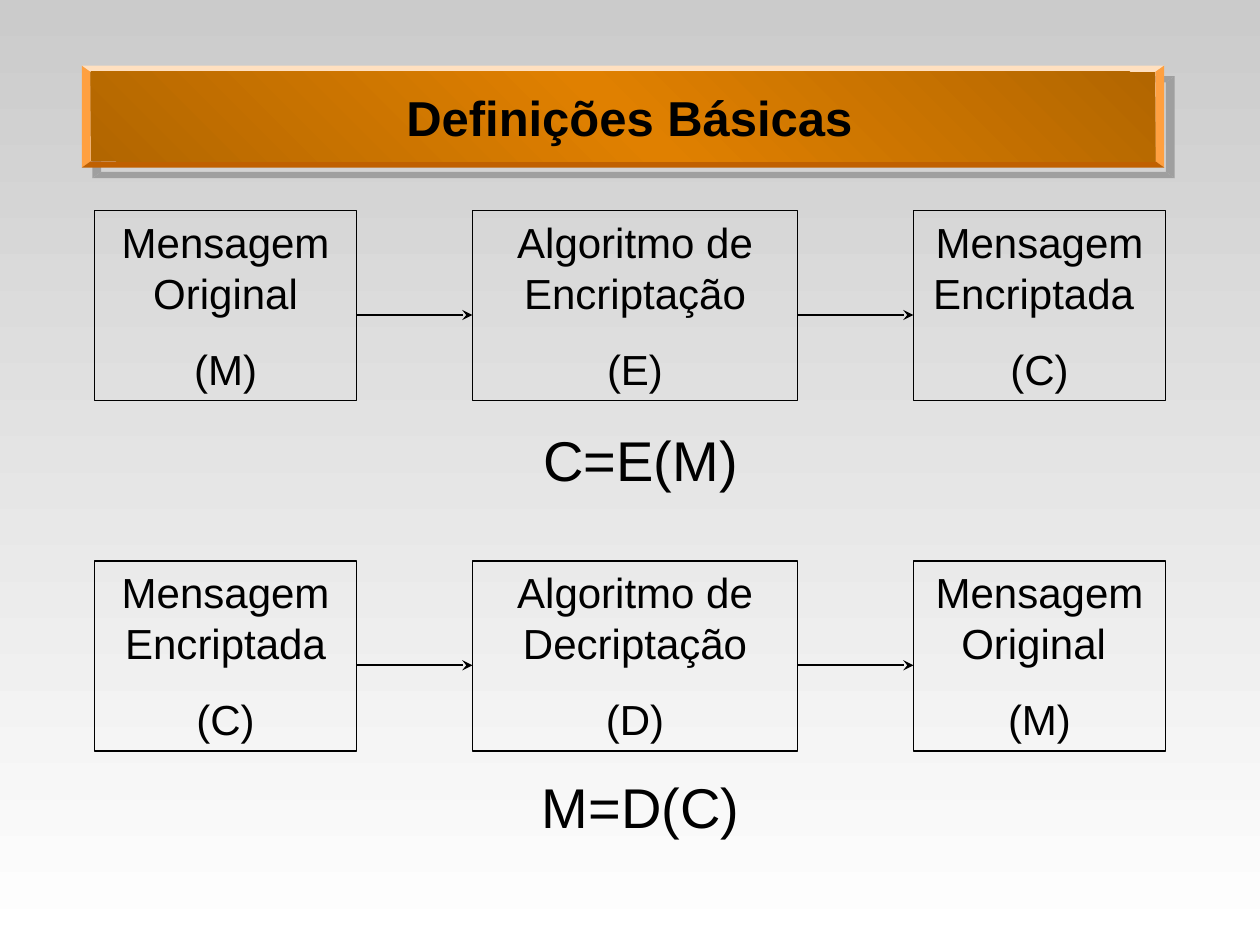
from copy import deepcopy

from lxml.etree import SubElement
from pptx import Presentation
from pptx.dml.color import RGBColor
from pptx.enum.shapes import MSO_CONNECTOR, MSO_SHAPE
from pptx.enum.text import MSO_ANCHOR, MSO_AUTO_SIZE, PP_ALIGN
from pptx.oxml import parse_xml
from pptx.oxml.ns import nsdecls, qn
from pptx.util import Inches, Pt

# Content: three boxes and a formula per row
TITLE = "Definições Básicas"
ROWS = [
    ([("Mensagem Original", "(M)"), ("Algoritmo de Encriptação", "(E)"),
      ("Mensagem Encriptada ", "(C)")], "C=E(M)"),
    ([("Mensagem Encriptada", "(C)"), ("Algoritmo de Decriptação", "(D)"),
      ("Mensagem Original ", "(M)")], "M=D(C)"),
]

COLORS = {
    "text": "000000", "bg_top": "CBCBCB", "bg_bottom": "FFFFFF",
    "side": "FFA040", "top": "FFE0C0", "bottom": "C06000",
    "edge": "B26600", "middle": "E08000", "shadow": "9F9F9F",
}

# Layout in inches
COLUMNS = [(0.75, 2.08), (3.75, 2.58), (7.25, 2)]  # left, width
ROW_TOPS = [1.67, 4.45]
FORMULA_TOPS = [3.33, 6.08]
BOX_HEIGHT, ARROW_DROP = 1.51, 0.83
FORMULA_LEFT, FORMULA_WIDTH, FORMULA_HEIGHT = 3.25, 3.67, 0.63
OUTER = (0.65, 0.52, 9.24, 1.33)  # banner: left, top, right, bottom
INNER = (0.72, 0.57, 9.17, 1.28)


def rgb(name):
    return RGBColor.from_string(COLORS[name])


def set_gradient(fill, names, angle):
    """Spread the named colours evenly; angle is counter-clockwise."""
    fill.gradient()
    fill.gradient_angle = angle
    first = fill._fill._gradFill.find(qn("a:gsLst"))[0]
    for _ in names[2:]:
        first.addnext(deepcopy(first))
    for i, (stop, name) in enumerate(zip(fill.gradient_stops, names)):
        stop.position = i / (len(names) - 1)
        stop.color.rgb = rgb(name)


def write(shape, lines, size, before=0, anchor=MSO_ANCHOR.TOP):
    tf = shape.text_frame
    tf.text = "\n".join(lines)
    tf.word_wrap = True
    tf.auto_size = MSO_AUTO_SIZE.NONE
    tf.vertical_anchor = anchor
    for p in tf.paragraphs:
        p.alignment = PP_ALIGN.CENTER
        p.space_before = Pt(before)
        p.font.name, p.font.size = "Arial", Pt(size)
        p.font.color.rgb = rgb("text")


def add_bevel(s, points, color):
    points = [(Inches(x), Inches(y)) for x, y in points]
    builder = s.shapes.build_freeform(*points[0])
    builder.add_line_segments(points[1:], close=True)
    sp = builder.convert_to_shape()
    sp.fill.solid()
    sp.fill.fore_color.rgb = rgb(color)
    sp.line.fill.background()
    sp._element.spPr.append(parse_xml(
        f'<a:effectLst {nsdecls("a")}><a:outerShdw dist="{Pt(8.5)}" dir="2700000" '
        f'algn="ctr" rotWithShape="0"><a:srgbClr val="{COLORS["shadow"]}"/>'
        '</a:outerShdw></a:effectLst>'))


def add_banner(s):
    (l, t, r, b), (il, it, ir, ib) = OUTER, INNER
    outer = [(l, t), (r, t), (r, b), (l, b)]
    inner = [(il, it), (ir, it), (ir, ib), (il, ib)]
    # Corners run clockwise from top left; each side joins two of them
    for i, color in [(3, "side"), (0, "top"), (1, "side"), (2, "bottom")]:
        j = (i + 1) % 4
        add_bevel(s, [outer[i], inner[i], inner[j], outer[j]], color)
    face = s.shapes.add_shape(MSO_SHAPE.RECTANGLE, Inches(il), Inches(it),
                              Inches(ir - il), Inches(ib - it))
    face.shadow.inherit = False
    face.line.fill.background()
    set_gradient(face.fill, ["edge", "middle", "edge"], 225)

    # Title in front of the banner
    title = s.shapes.title
    title.left, title.top = Inches(1.08), Inches(0.67)
    title.width, title.height = Inches(7.83), Inches(0.58)
    write(title, [TITLE], 28, anchor=MSO_ANCHOR.MIDDLE)
    p = title.text_frame.paragraphs[0]
    p.font.bold, p.line_spacing = True, 0.9
    face._element.addnext(title._element)


def add_box(s, left, top, width, lines):
    sp = s.shapes.add_shape(MSO_SHAPE.RECTANGLE, Inches(left), Inches(top),
                            Inches(width), Inches(BOX_HEIGHT))
    sp.shadow.inherit = False
    sp.fill.background()
    sp.line.color.rgb, sp.line.width = rgb("text"), Pt(1)
    write(sp, lines, 24, 15)


def add_arrow(s, start, end, y):
    line = s.shapes.add_connector(MSO_CONNECTOR.STRAIGHT, Inches(start), Inches(y),
                                  Inches(end), Inches(y))
    line.line.color.rgb, line.line.width = rgb("text"), Pt(1)
    SubElement(line.line._get_or_add_ln(), qn("a:tailEnd"), type="stealth")
    SubElement(line._element.spPr, qn("a:effectLst"))


def main():
    prs = Presentation()
    prs.slide_width, prs.slide_height = Inches(10), Inches(7.5)
    s = prs.slides.add_slide(prs.slide_layouts[5])
    set_gradient(s.background.fill, ["bg_top", "bg_bottom"], 270)
    add_banner(s)

    for (boxes, formula), top, formula_top in zip(ROWS, ROW_TOPS, FORMULA_TOPS):
        for (left, width), lines in zip(COLUMNS, boxes):
            add_box(s, left, top, width, lines)
        for (left, width), (end, _) in zip(COLUMNS, COLUMNS[1:]):
            add_arrow(s, left + width, end, top + ARROW_DROP)
        tb = s.shapes.add_textbox(Inches(FORMULA_LEFT), Inches(formula_top),
                                  Inches(FORMULA_WIDTH), Inches(FORMULA_HEIGHT))
        write(tb, [formula], 32, 20)

    prs.save("out.pptx")


if __name__ == "__main__":
    main()
